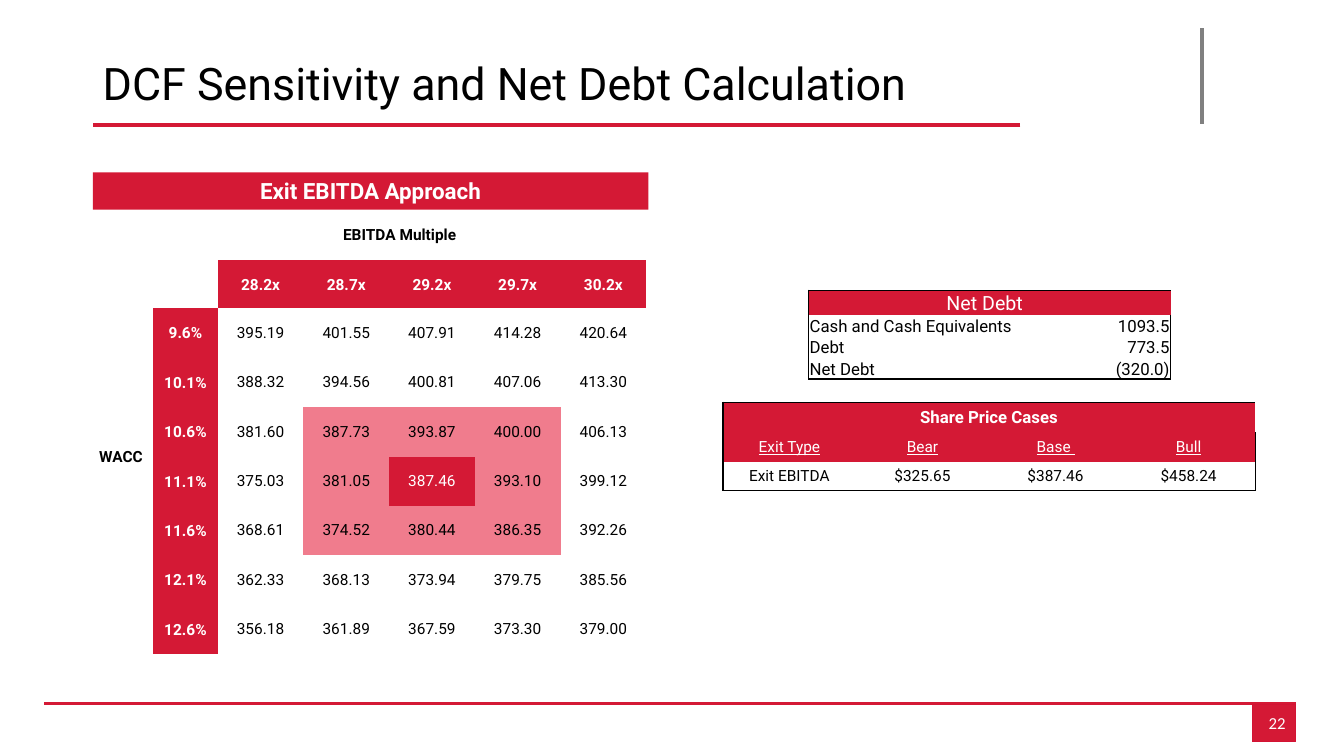
from dataclasses import dataclass

from lxml.etree import SubElement
from pptx import Presentation
from pptx.dml.color import RGBColor
from pptx.enum.shapes import MSO_CONNECTOR, MSO_SHAPE
from pptx.enum.text import MSO_ANCHOR, PP_ALIGN
from pptx.oxml import parse_xml
from pptx.oxml.ns import nsdecls, qn
from pptx.util import Inches, Pt

TITLE = "DCF Sensitivity and Net Debt Calculation"
PAGE = "22"
BANNER = "Exit EBITDA Approach"
MULTIPLES = ["28.2x", "28.7x", "29.2x", "29.7x", "30.2x"]
PRICES = {
    "9.6%": ["395.19", "401.55", "407.91", "414.28", "420.64"],
    "10.1%": ["388.32", "394.56", "400.81", "407.06", "413.30"],
    "10.6%": ["381.60", "387.73", "393.87", "400.00", "406.13"],
    "11.1%": ["375.03", "381.05", "387.46", "393.10", "399.12"],
    "11.6%": ["368.61", "374.52", "380.44", "386.35", "392.26"],
    "12.1%": ["362.33", "368.13", "373.94", "379.75", "385.56"],
    "12.6%": ["356.18", "361.89", "367.59", "373.30", "379.00"],
}
BASE_CASE = (3, 2)  # row and column of the central price
NET_DEBT_HEADING = "Net Debt  "
NET_DEBT = [("Cash and Cash Equivalents", "1093.5"), ("Debt", "773.5"), ("Net Debt", "(320.0)")]
CASES_HEADING = "Share Price Cases"
CASES = [("Exit Type", "Bear", "Base ", "Bull"),
         ("Exit EBITDA", "$325.65", "$387.46", "$458.24")]


@dataclass(frozen=True)
class Theme:
    red: str = "D41935"
    edge: str = "D31334"
    pink: str = "F07C8D"
    grey: str = "808080"
    black: str = "000000"
    white: str = "FFFFFF"
    font: str = "Roboto"
    page_font: str = "Calibri"
    title: int = 32
    banner: int = 16
    heading: int = 14
    label: int = 12
    body: int = 11
    no_grid: str = "{2D5ABB26-0587-4C30-8999-92F81FD0307C}"


T = Theme()
THIN = (0.01, 0.01, 0.01, 0)
NONE = (0, 0, 0, 0)
ROOMY = (0.1, 0.05, 0.1, 0.05)


def write(tf, text, color=T.black, align=PP_ALIGN.CENTER, **font):
    p = tf.paragraphs[0]
    p.alignment = align
    r = p.add_run()
    r.text = text
    r.font.color.rgb = RGBColor.from_string(color)
    for name, value in {"name": T.font, "size": T.body, **font}.items():
        setattr(r.font, name, Pt(value) if name == "size" else value)


def paint(fill, color):
    fill.solid()
    fill.fore_color.rgb = RGBColor.from_string(color)


def rule(shapes, start, end, color, width):
    ends = [Inches(v) for v in (*start, *end)]
    line = shapes.add_connector(MSO_CONNECTOR.STRAIGHT, *ends)
    line.line.color.rgb = RGBColor.from_string(color)
    line.line.width = Pt(width)
    SubElement(line._element.spPr, qn("a:effectLst"))


def red_box(shapes, box, text, edge=None, **style):
    sp = shapes.add_shape(MSO_SHAPE.RECTANGLE, *map(Inches, box))
    sp.shadow.inherit = False
    paint(sp.fill, T.red)
    if edge:
        sp.line.color.rgb = RGBColor.from_string(edge)
        sp.line.width = Pt(0.75)
    else:
        sp.line.fill.background()
    sp.text_frame.vertical_anchor = MSO_ANCHOR.MIDDLE
    write(sp.text_frame, text, T.white, **style)


def plain_table(shapes, left, top, cols, rows):
    """Add a table without style, banding or grid."""
    box = (left, top, sum(cols), sum(rows))
    frame = shapes.add_table(len(rows), len(cols), *map(Inches, box))
    tbl = frame.table
    tbl.first_row = tbl.horz_banding = False
    tbl._tbl.tblPr.find(qn("a:tableStyleId")).text = T.no_grid
    for col, width in zip(tbl.columns, cols):
        col.width = Inches(width)
    for row, height in zip(tbl.rows, rows):
        row.height = Inches(height)
    return tbl


def put(tbl, row, col, text, fill=None, margins=THIN, anchor=MSO_ANCHOR.MIDDLE, to=None, **style):
    """Fill one cell, merged down to the cell named by to."""
    cell = tbl.cell(row, col)
    if to:
        cell.merge(tbl.cell(*to))
    for side, size in zip(("left", "top", "right", "bottom"), margins):
        setattr(cell, f"margin_{side}", Inches(size))
    cell.vertical_anchor = anchor
    if fill:
        paint(cell.fill, fill)
    write(cell.text_frame, text, **style)


def outline(tbl):
    """Draw a thin black border round the whole table."""
    last_row, last_col = len(tbl.rows) - 1, len(tbl.columns) - 1
    for r in range(last_row + 1):
        for c in range(last_col + 1):
            edges = {"L": c == 0, "R": c == last_col, "T": r == 0, "B": r == last_row}
            tcPr = tbl.cell(r, c)._tc.get_or_add_tcPr()
            for i, side in enumerate(s for s, on in edges.items() if on):
                tcPr.insert(i, parse_xml(
                    f'<a:ln{side} {nsdecls("a")} w="12700"><a:solidFill>'
                    f'<a:srgbClr val="{T.black}"/></a:solidFill></a:ln{side}>'))


def add_sensitivity(shapes):
    last_row, last_col = len(PRICES) + 1, len(MULTIPLES) + 1
    tbl = plain_table(shapes, 0.88, 2.08, [0.64] * 2 + [0.85] * len(MULTIPLES),
                      [0.5, 0.48] + [0.49] * len(PRICES))
    put(tbl, 0, 1, "EBITDA Multiple", T.white, to=(0, last_col), bold=True)
    put(tbl, 1, 0, "WACC", T.white, to=(last_row, 0), bold=True)
    for c, multiple in enumerate(MULTIPLES, 2):
        put(tbl, 1, c, multiple, T.red, color=T.white, bold=True)
    for r, (wacc, prices) in enumerate(PRICES.items()):
        put(tbl, r + 2, 1, wacc, T.red, color=T.white, bold=True)
        for c, price in enumerate(prices):
            distance = max(abs(r - BASE_CASE[0]), abs(c - BASE_CASE[1]))
            fill = {0: T.red, 1: T.pink}.get(distance)
            put(tbl, r + 2, c + 2, price, fill, NONE,
                color=T.black if distance else T.white)


def add_net_debt(shapes):
    tbl = plain_table(shapes, 8.02, 2.88, [2.77, 0.82], [0.25] + [0.21] * len(NET_DEBT))
    put(tbl, 0, 0, NET_DEBT_HEADING, T.red, to=(0, 1), color=T.white, size=T.heading)
    for r, line in enumerate(NET_DEBT, 1):
        for c, align in enumerate((PP_ALIGN.LEFT, PP_ALIGN.RIGHT)):
            put(tbl, r, c, line[c], anchor=MSO_ANCHOR.BOTTOM, align=align, size=T.label)
    outline(tbl)


def add_cases(shapes):
    tbl = plain_table(shapes, 7.17, 3.99, [1.32] * 4, [0.29] * 3)
    put(tbl, 0, 0, CASES_HEADING, T.red, ROOMY, to=(0, 3),
        color=T.white, size=T.label, bold=True)
    for c, (name, price) in enumerate(zip(*CASES)):
        put(tbl, 1, c, name, T.red, ROOMY, color=T.white, underline=True)
        put(tbl, 2, c, price, margins=NONE if c else ROOMY)
    outline(tbl)


def main():
    prs = Presentation()
    prs.slide_width, prs.slide_height = Inches(13.33), Inches(7.5)
    shapes = prs.slides.add_slide(prs.slide_layouts[6]).shapes

    rule(shapes, (12.85, 6.98), (0.44, 6.98), T.red, 2.25)
    red_box(shapes, (12.42, 6.99, 0.43, 0.37), PAGE, T.edge,
            align=PP_ALIGN.RIGHT, name=T.page_font, size=T.label)
    rule(shapes, (11.92, 0.28), (11.92, 1.23), T.grey, 3)
    rule(shapes, (10.12, 1.24), (0.92, 1.24), T.red, 2.25)

    tf = shapes.add_textbox(*map(Inches, (0.92, 0.29, 9.43, 1.13))).text_frame
    tf.word_wrap = True
    tf.vertical_anchor = MSO_ANCHOR.MIDDLE
    write(tf, TITLE, align=PP_ALIGN.LEFT, size=T.title)
    tf.paragraphs[0].line_spacing = 0.9

    add_sensitivity(shapes)
    red_box(shapes, (0.92, 1.71, 5.51, 0.37), BANNER, size=T.banner, bold=True)
    add_cases(shapes)
    add_net_debt(shapes)
    prs.save("out.pptx")


if __name__ == "__main__":
    main()
